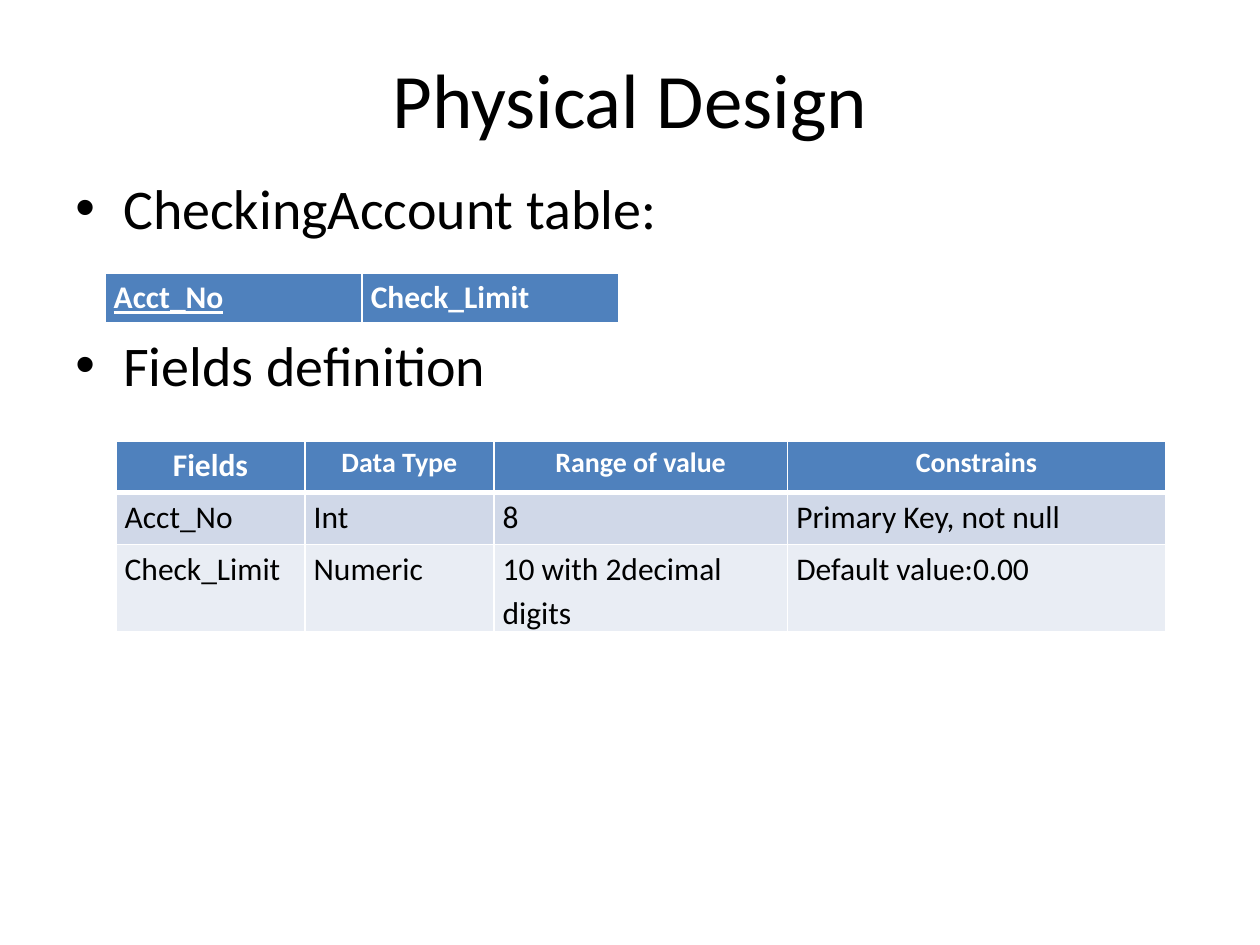
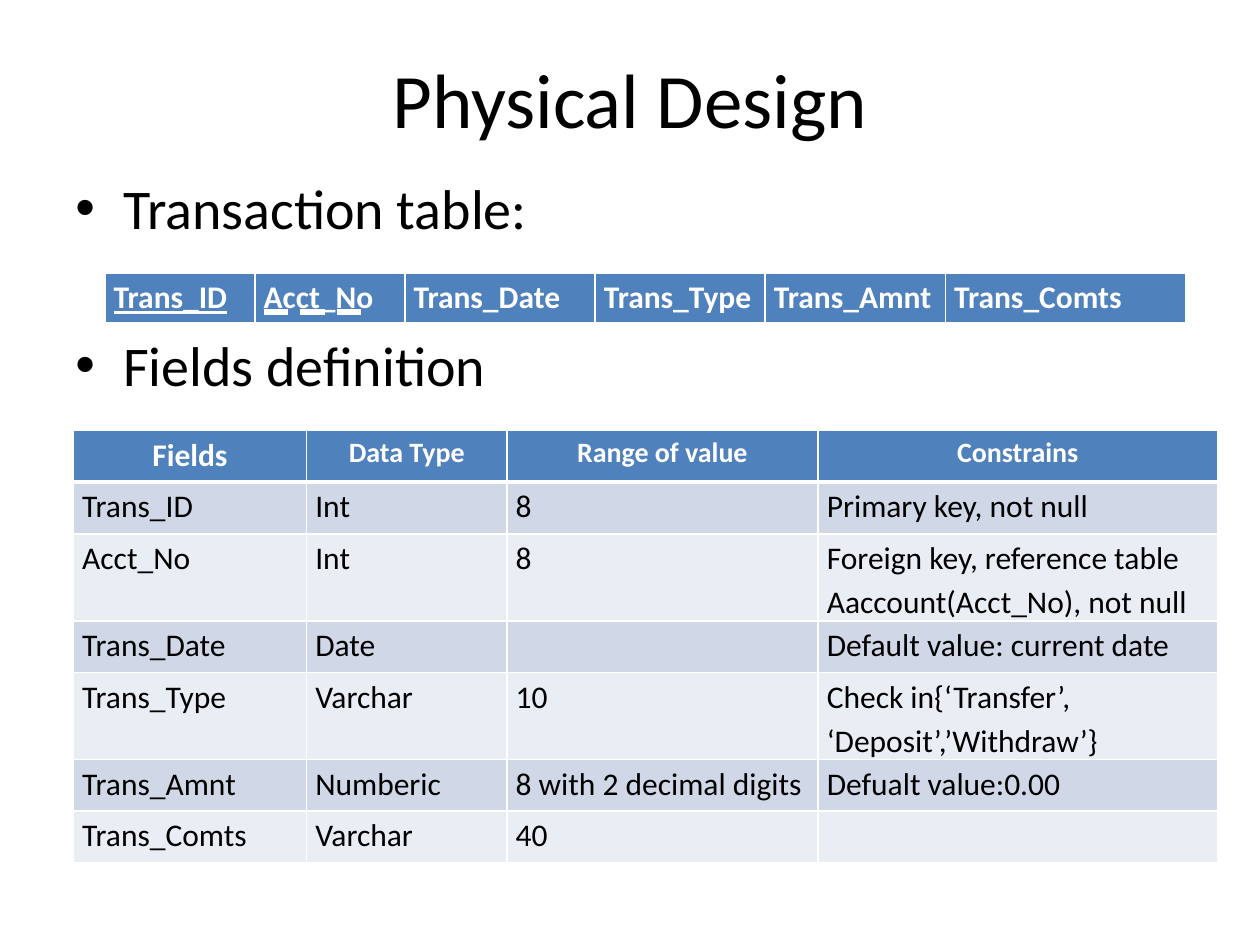
from lxml.etree import SubElement
from pptx import Presentation
from pptx.dml.color import RGBColor
from pptx.enum.text import MSO_ANCHOR, MSO_UNDERLINE as UNDERLINE, PP_ALIGN
from pptx.oxml.ns import qn
from pptx.util import Inches, Pt

BLACK = RGBColor(0x00, 0x00, 0x00)
WHITE = RGBColor(0xFF, 0xFF, 0xFF)
HEADER_BLUE = RGBColor(0x4F, 0x81, 0xBD)
BANDS = [RGBColor(0xD0, 0xD8, 0xE8), RGBColor(0xE9, 0xED, 0xF4)]
FONT = "Calibri"
FIELD_HEADERS = ["Fields", "Data Type", "Range of value", "Constrains"]

# Positions and column widths are percentages of the slide's width or height.
DESIGNS = [
    {
        "heading": "CheckingAccount table:",
        "schema": ["Acct_No", "Check_Limit"],
        "schema_columns": [20.4, 20.4],
        "underlines": [UNDERLINE.SINGLE_LINE],
        "fields_at": (9.2, 46.67),
        "fields_columns": [15, 15, 23.3, 30],
        "fields": [
            ["Acct_No", "Int", "8", "Primary Key, not null"],
            ["Check_Limit", "Numeric", "10 with 2decimal digits", "Default value:0.00"],
        ],
    },
    {
        "heading": "Transaction table:",
        "schema": ["Trans_ID", "Acct_No", "Trans_Date", "Trans_Type",
                   "Trans_Amnt", "Trans_Comts"],
        "schema_columns": [11.9, 11.9, 15.1, 13.5, 14.3, 19.1],
        "underlines": [UNDERLINE.SINGLE_LINE, UNDERLINE.DASH_HEAVY_LINE],
        "fields_at": (5.83, 45.56),
        "fields_columns": [18.5, 15.9, 24.7, 31.7],
        "fields": [
            ["Trans_ID", "Int", "8", "Primary key, not null"],
            ["Acct_No", "Int", "8",
             "Foreign key, reference table Aaccount(Acct_No), not null"],
            ["Trans_Date", "Date", "", "Default value: current date"],
            ["Trans_Type", "Varchar", "10", "Check in{‘Transfer’, ‘Deposit’,’Withdraw’}"],
            ["Trans_Amnt", "Numberic", "8 with 2 decimal digits", "Defualt value:0.00"],
            ["Trans_Comts", "Varchar", "40", ""],
        ],
    },
]

presentation = Presentation()
presentation.slide_width = Inches(10)
presentation.slide_height = Inches(7.5)
ACROSS = presentation.slide_width / 100
DOWN = presentation.slide_height / 100


def add_text(slide, top, height, lines, size):
    """Add a text box across the slide's margins and return its text frame."""
    box = slide.shapes.add_textbox(int(5 * ACROSS), int(top * DOWN),
                                   int(90 * ACROSS), int(height * DOWN))
    frame = box.text_frame
    frame.word_wrap = True
    frame.text = "\n".join(lines)
    for paragraph in frame.paragraphs:
        paragraph.font.name = FONT
        paragraph.font.size = Pt(size)
        paragraph.font.color.rgb = BLACK
    return frame


def add_banded_table(slide, at, columns, rows):
    """Add a table whose first row is a header and return it."""
    left, top = at
    row_height = Inches(0.41)
    table = slide.shapes.add_table(
        len(rows), len(columns), int(left * ACROSS), int(top * DOWN),
        int(sum(columns) * ACROSS), row_height * len(rows)).table
    table.horz_banding = False
    for column, share in zip(table.columns, columns):
        column.width = int(share * ACROSS)
    for row_index, values in enumerate(rows):
        is_header = row_index == 0
        table.rows[row_index].height = row_height
        for column_index, value in enumerate(values):
            cell = table.cell(row_index, column_index)
            cell.margin_left = cell.margin_right = Inches(0.07)
            cell.margin_top = cell.margin_bottom = 0
            widths = {"lnL": 1, "lnR": 1, "lnT": 3 if row_index == 1 else 1,
                      "lnB": 3 if is_header else 1}
            for side, width in widths.items():
                line = SubElement(cell._tc.get_or_add_tcPr(), qn(f"a:{side}"),
                                  w=str(Pt(width)))
                SubElement(SubElement(line, qn("a:solidFill")), qn("a:srgbClr"),
                           val=str(WHITE))
            cell.fill.solid()
            cell.fill.fore_color.rgb = HEADER_BLUE if is_header else BANDS[(row_index - 1) % 2]
            cell.text = value
            paragraph = cell.text_frame.paragraphs[0]
            paragraph.line_spacing = 1.15
            paragraph.font.name = FONT
            paragraph.font.size = Pt(18)
            paragraph.font.bold = is_header
            paragraph.font.color.rgb = WHITE if is_header else BLACK
    return table


for design in DESIGNS:
    slide = presentation.slides.add_slide(presentation.slide_layouts[6])

    title = add_text(slide, 4, 12.67, ["Physical Design"], 44)
    title.vertical_anchor = MSO_ANCHOR.MIDDLE
    title.paragraphs[0].alignment = PP_ALIGN.CENTER

    body = add_text(slide, 17.73, 66, [design["heading"], "Fields definition"], 32)
    # The second bullet leaves room for the schema table above it.
    for paragraph, space in zip(body.paragraphs, [6.4, 51]):
        paragraph.space_before = Pt(space)
        properties = paragraph._p.get_or_add_pPr()
        properties.set("marL", str(Inches(0.38)))
        properties.set("indent", str(-Inches(0.38)))
        bullet_font = properties.makeelement(qn("a:buFont"), {"typeface": "Arial"})
        bullet = properties.makeelement(qn("a:buChar"), {"char": "•"})
        default_run = properties.find(qn("a:defRPr"))
        default_run.addprevious(bullet_font)
        default_run.addprevious(bullet)

    schema = add_banded_table(slide, (8.33, 28.9), design["schema_columns"],
                              [design["schema"]])
    for column_index, underline in enumerate(design["underlines"]):
        schema.cell(0, column_index).text_frame.paragraphs[0].font.underline = underline

    fields = add_banded_table(slide, design["fields_at"], design["fields_columns"],
                              [FIELD_HEADERS] + design["fields"])
    for column_index in range(len(FIELD_HEADERS)):
        paragraph = fields.cell(0, column_index).text_frame.paragraphs[0]
        paragraph.alignment = PP_ALIGN.CENTER
        if column_index > 0:
            paragraph.font.size = Pt(16)

presentation.save("out.pptx")
